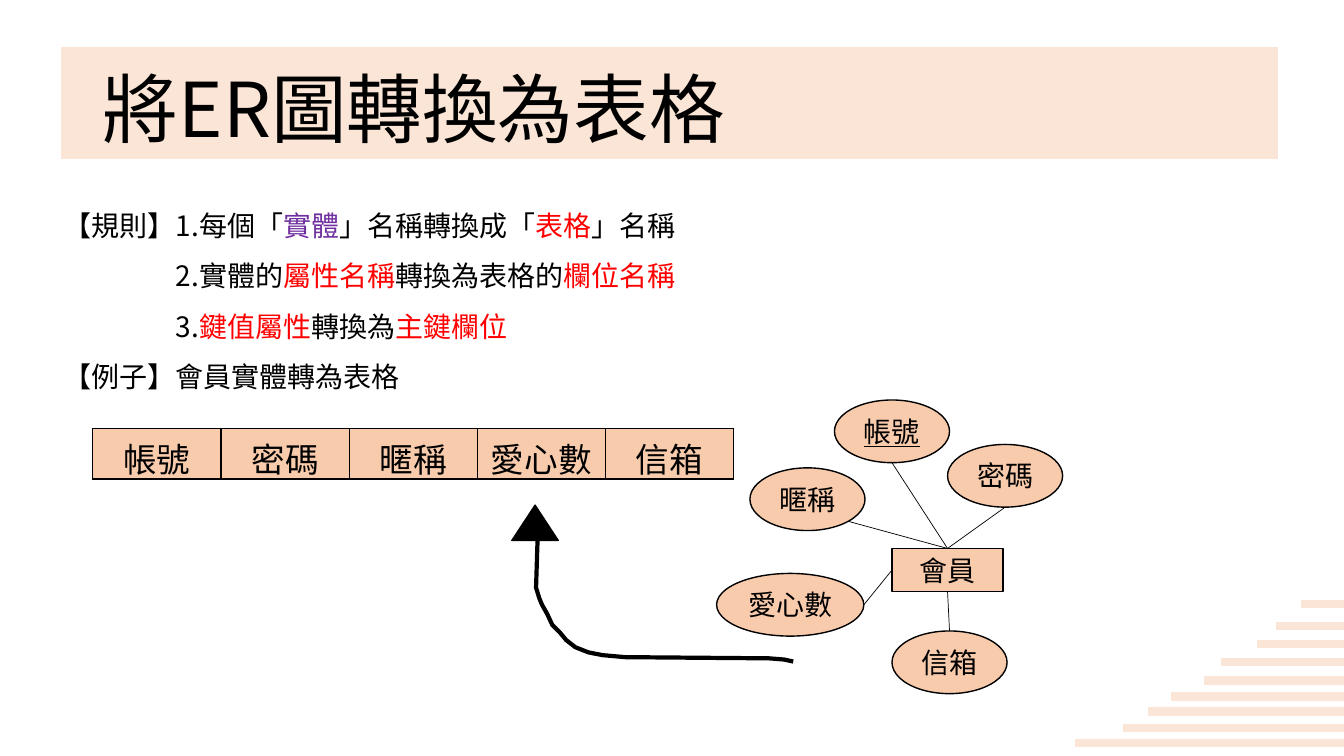
import pptx
import pptx.util
import pptx.dml.color
import pptx.enum.shapes
import pptx.enum.text
import pptx.oxml
import pptx.oxml.ns
from dataclasses import dataclass
from pptx.util import Cm

SHAPE = pptx.enum.shapes.MSO_SHAPE
CENTER = pptx.enum.text.PP_ALIGN.CENTER
MIDDLE = pptx.enum.text.MSO_ANCHOR.MIDDLE


@dataclass(frozen=True)
class Theme:
    font: str = "Noto Sans CJK SC"
    black: str = "000000"
    white: str = "FFFFFF"
    pale: str = "FBE5D6"
    peach: str = "F8CBAD"
    red: str = "FF0000"
    purple: str = "7030A0"
    title_size: int = 54
    table_size: int = 24
    body_size: int = 20


THEME = Theme()


def rgb(color):
    return pptx.dml.color.RGBColor.from_string(color)


def add_xml(parent, xml):
    namespace = pptx.oxml.ns.nsdecls("a")
    parent.append(pptx.oxml.parse_xml(xml.replace(">", f" {namespace}>", 1)))


def format_run(run, size, color=THEME.black):
    run.font.size = pptx.util.Pt(size)
    run.font.name = THEME.font
    run.font.color.rgb = rgb(color)
    add_xml(run.font._element, f'<a:ea typeface="{THEME.font}"></a:ea>')


def draw_line(slide, start, end, color, width):
    line = slide.shapes.add_connector(
        pptx.enum.shapes.MSO_CONNECTOR.STRAIGHT, *map(Cm, start + end))
    line.line.color.rgb = rgb(color)
    line.line.width = pptx.util.Pt(width)
    add_xml(line.element.spPr, "<a:effectLst></a:effectLst>")
    return line


def draw_shape(slide, kind, box, fill, line_color=THEME.black, width=1, label=""):
    shape = slide.shapes.add_shape(kind, *map(Cm, box))
    shape.shadow.inherit = False
    shape.fill.solid()
    shape.fill.fore_color.rgb = rgb(fill)
    shape.line.color.rgb = rgb(line_color)
    shape.line.width = pptx.util.Pt(width)
    if label:
        frame = shape.text_frame
        frame.margin_left = frame.margin_right = 0
        frame.margin_top = frame.margin_bottom = 0
        frame.vertical_anchor = MIDDLE
        frame.text = label
        frame.paragraphs[0].alignment = CENTER
        format_run(frame.paragraphs[0].runs[0], THEME.body_size)
    return shape


def add_heading(slide, box):
    left, top, width, height = box
    title = slide.shapes.title
    band = draw_shape(slide, SHAPE.RECTANGLE, box, THEME.pale, THEME.white, 9)
    title.element.addprevious(band.element)
    title.left, title.top = Cm(left + 0.97), Cm(top)
    title.width, title.height = Cm(width - 1.8), Cm(height + 0.53)
    title.text_frame.text = "將ER圖轉換為表格"
    title.text_frame.vertical_anchor = MIDDLE
    heading = title.text_frame.paragraphs[0]
    heading.alignment = pptx.enum.text.PP_ALIGN.LEFT
    heading.line_spacing = 0.9
    format_run(heading.runs[0], THEME.title_size)


def add_rules(slide, box):
    black, red, purple = THEME.black, THEME.red, THEME.purple
    # Each rule: left indent in cm, then its coloured pieces
    rules = [
        (0, [("【規則】1.每個「", black), ("實體", purple), ("」名稱轉換成「", black),
             ("表格", red), ("」名稱", black)]),
        (2.83, [("2.實體的", black), ("屬性名稱", red), ("轉換為表格的", black),
                ("欄位名稱", red)]),
        (2.83, [("3.", black), ("鍵值屬性", red), ("轉換為", black), ("主鍵欄位", red)]),
        (0, [("【例子】會員實體轉為表格", black)]),
    ]
    frame = slide.shapes.add_textbox(*map(Cm, box)).text_frame
    frame.word_wrap = True
    for index, (indent, pieces) in enumerate(rules):
        rule = frame.add_paragraph() if index else frame.paragraphs[0]
        rule.line_spacing = 1.5
        rule._p.get_or_add_pPr().set("marL", str(Cm(indent)))
        for words, color in pieces:
            run = rule.add_run()
            run.text = words
            format_run(run, THEME.body_size, color)


def add_stripes(slide, right):
    # Left end and height of each stripe, from the bottom up
    stripes = [(27.08, 18.72), (28.3, 18.34), (28.93, 17.93), (29.51, 17.55), (30.35, 17.15),
               (30.78, 16.68), (31.67, 16.23), (32.16, 15.77), (32.79, 15.22)]
    for left, y in stripes:
        draw_line(slide, (left, y), (right, y), THEME.pale, 6)


def add_er_diagram(slide, left, top):
    entity = draw_shape(slide, SHAPE.RECTANGLE, (left + 4.42, top + 3.74, 2.8, 1.09),
                        THEME.peach, label="會員")
    entity_x, entity_y = left + 4.42, top + 3.74
    sides = {0: (entity_x + 1.4, entity_y), 1: (entity_x, entity_y + 0.54),
             2: (entity_x + 1.4, entity_y + 1.09)}
    # Attribute, offset, width, line start within the ellipse, side of the entity
    attributes = [
        ("密碼", 5.82, 1.12, 2.9, (0.5, 1), 0),
        ("愛心數", 0, 4.37, 3.71, (1, 0.5), 1),
        ("信箱", 4.42, 5.82, 2.9, (0.5, 0), 2),
        ("帳號", 2.97, 0, 2.9, (0.5, 1), 0),
        ("暱稱", 0.84, 1.71, 2.9, (0.85, 0.85), 0),
    ]
    height = 1.58
    for name, dx, dy, width, (across, down), side in attributes:
        x, y = left + dx, top + dy
        link = draw_line(slide, (x + across * width, y + down * height), sides[side],
                         THEME.black, 0.5)
        link.end_connect(entity, side)
        attribute = draw_shape(slide, SHAPE.OVAL, (x, y, width, height), THEME.peach, label=name)
        if name == "帳號":  # key attribute
            attribute.text_frame.paragraphs[0].runs[0].font.underline = True


def add_member_table(slide, box):
    columns = ["帳號", "密碼", "暱稱", "愛心數", "信箱"]
    table = slide.shapes.add_table(1, len(columns), *map(Cm, box)).table
    for cell, name in zip(table.rows[0].cells, columns):
        cell.text = name
        cell.margin_bottom = 0
        cell.text_frame.paragraphs[0].alignment = CENTER
        format_run(cell.text_frame.paragraphs[0].runs[0], THEME.table_size)
        properties = cell._tc.get_or_add_tcPr()
        for edge in ("lnL", "lnR", "lnT", "lnB"):
            add_xml(properties, f'<a:{edge} w="12700"><a:solidFill><a:srgbClr val="{THEME.black}"/>'
                                f'</a:solidFill></a:{edge}>')
        cell.fill.solid()
        cell.fill.fore_color.rgb = rgb(THEME.peach)


def add_arrow(slide, left, top):
    # Curve from the diagram up to the table
    curve = [(7.09, 3.94), (6.86, 3.89), (6.48, 3.86), (2.85, 3.83), (2.29, 3.78), (1.93, 3.71),
             (1.6, 3.58), (1.37, 3.4), (1.22, 3.22), (1.02, 3.02), (0.89, 2.74), (0.76, 2.51),
             (0.69, 2.34), (0.61, 2.08), (0.64, 1.12), (0.66, 0.53)]
    points = [(Cm(left + x), Cm(top + y)) for x, y in curve]
    builder = slide.shapes.build_freeform(*points[0])
    builder.add_line_segments(points[1:], close=False)
    shaft = builder.convert_to_shape()
    shaft.shadow.inherit = False
    shaft.fill.background()
    shaft.line.color.rgb = rgb(THEME.black)
    shaft.line.width = pptx.util.Pt(3)
    draw_shape(slide, SHAPE.ISOSCELES_TRIANGLE, (left, top, 1.17, 0.89), THEME.black)


def main():
    deck = pptx.Presentation()
    deck.slide_width, deck.slide_height = Cm(33.87), Cm(19.05)
    slide = deck.slides.add_slide(deck.slide_layouts[5])
    add_heading(slide, (1.37, 1.02, 31.01, 3.15))
    add_rules(slide, (1.35, 4.7, 32.49, 9.25))
    add_stripes(slide, 33.87)
    add_er_diagram(slide, 18.06, 10.08)
    add_member_table(slide, (2.34, 10.8, 16.15, 1.27))
    add_arrow(slide, 12.9, 12.73)
    deck.save("out.pptx")


if __name__ == "__main__":
    main()
